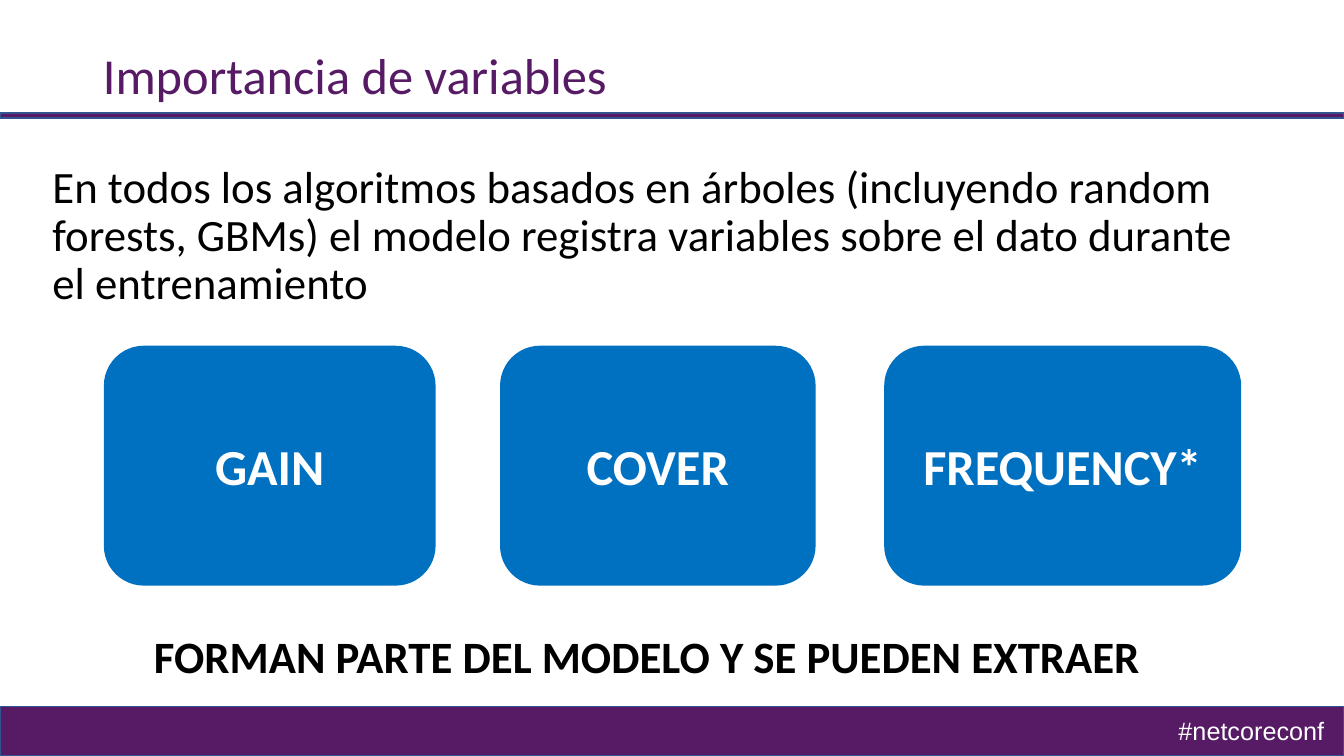
from pptx import Presentation
from pptx.dml.color import RGBColor
from pptx.enum.shapes import MSO_SHAPE as Shape
from pptx.enum.text import MSO_ANCHOR as Anchor, MSO_AUTO_SIZE as Fit, PP_ALIGN as Align
from pptx.util import Inches, Pt

COLORS = {"purple": "561B64", "edge": "325491", "blue": "0070C0",
          "white": "FFFFFF", "black": "000000"}

TITLE = "Importancia de variables"
INTRO = ("En todos los algoritmos basados en árboles (incluyendo random forests, GBMs) "
         "el modelo registra variables sobre el dato durante el entrenamiento")
CLOSING = "FORMAN PARTE DEL MODELO Y SE PUEDEN EXTRAER"
HASHTAG = "#netcoreconf"
BARS = [(7.01, 0.49), (1.12, 0.05)]  # top, height
CARDS = [("GAIN", 1.03, 3.29), ("COVER", 4.96, 3.13), ("FREQUENCY*", 8.77, 3.54)]  # left, width
CARD_TOP, CARD_HEIGHT = 3.43, 2.38
WIDTH, HEIGHT = 13.33, 7.5


def color(name):
    return RGBColor.from_string(COLORS[name])


def style(para, size, tint, bold=False, name="Calibri", align=Align.LEFT):
    para.alignment = align
    font = para.font
    font.name, font.size, font.bold = name, Pt(size), bold
    font.color.rgb = color(tint)


def add_block(slide, kind, box, fill, edge=None):
    block = slide.shapes.add_shape(kind, *map(Inches, box))
    block.shadow.inherit = False
    block.fill.solid()
    block.fill.fore_color.rgb = color(fill)
    if edge:
        block.line.color.rgb = color(edge)
        block.line.width = Pt(1)
    else:
        block.line.fill.background()
    return block


def place(holder, box, anchor):
    """Move a placeholder and fix how its text sits."""
    holder.left, holder.top, holder.width, holder.height = map(Inches, box)
    frame = holder.text_frame
    frame.auto_size = Fit.NONE
    frame.word_wrap = True
    frame.vertical_anchor = anchor
    return frame


def drop_bullet(para):
    props = para._p.get_or_add_pPr()
    props.set("marL", "0")
    props.set("indent", "0")
    props.append(props.makeelement(
        "{http://schemas.openxmlformats.org/drawingml/2006/main}buNone", {}))


def main():
    deck = Presentation()
    deck.slide_width, deck.slide_height = Inches(WIDTH), Inches(HEIGHT)
    slide = deck.slides.add_slide(deck.slide_layouts[1])

    for top, height in BARS:
        add_block(slide, Shape.RECTANGLE, (0, top, WIDTH, height), "purple", "edge")

    tag = slide.shapes.add_textbox(*map(Inches, (11.59, 7.05, 1.66, 0.4))).text_frame
    tag.word_wrap = False
    tag.text = HASHTAG
    style(tag.paragraphs[0], 18, "white", name="Arial")

    title = place(slide.shapes.title, (0.92, 0.14, 11.5, 1.28), Anchor.MIDDLE)
    title.text = TITLE
    style(title.paragraphs[0], 36, "purple")
    title.paragraphs[0].line_spacing = 0.9

    body = place(slide.placeholders[1], (0.42, 1.58, 12, 5.47), Anchor.TOP)
    body.text = INTRO + "\n" + CLOSING
    intro, closing = body.paragraphs
    for para, gap in ((intro, 0), (closing, 232)):
        drop_bullet(para)
        para.line_spacing = 0.9
        para.space_before = Pt(gap)
    style(intro, 32, "black")
    style(closing, 32, "black", bold=True, align=Align.CENTER)

    for label, left, width in CARDS:
        card = add_block(slide, Shape.ROUNDED_RECTANGLE,
                         (left, CARD_TOP, width, CARD_HEIGHT), "blue")
        frame = card.text_frame
        frame.vertical_anchor = Anchor.MIDDLE
        frame.text = label
        style(frame.paragraphs[0], 36, "white", bold=True, align=Align.CENTER)

    deck.save("out.pptx")


if __name__ == "__main__":
    main()
